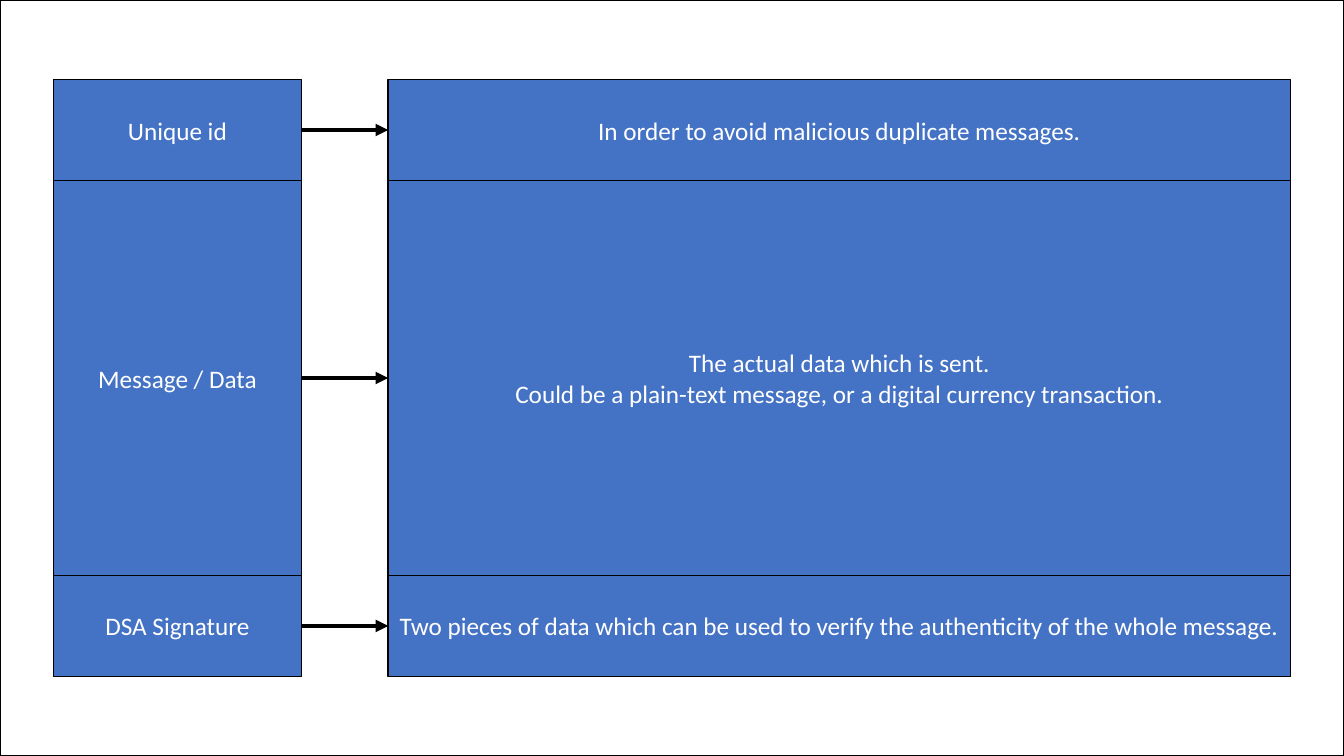
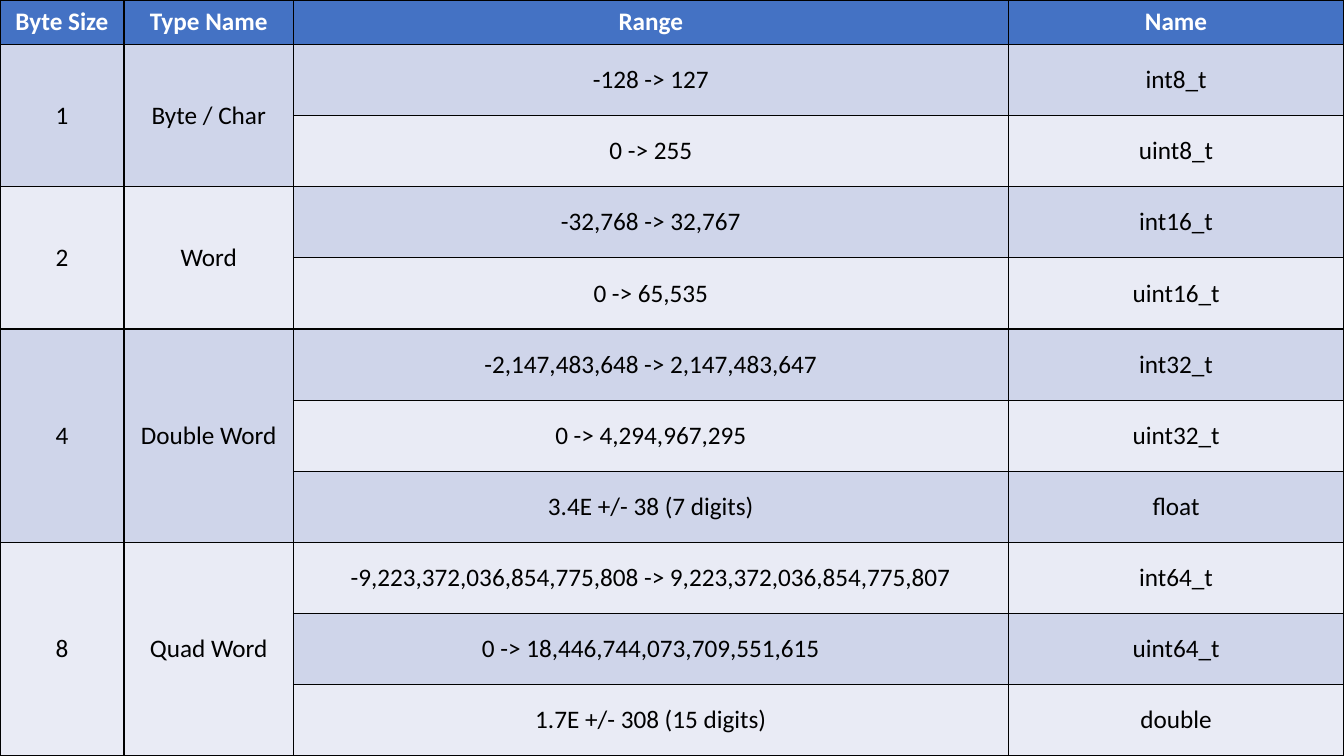
from lxml.etree import SubElement
from pptx import Presentation
from pptx.dml.color import RGBColor
from pptx.enum.shapes import MSO_CONNECTOR, MSO_SHAPE
from pptx.enum.text import MSO_ANCHOR, PP_ALIGN
from pptx.oxml.ns import qn
from pptx.util import Inches, Pt

BLUE = RGBColor(0x44, 0x72, 0xC4)
DARK_BAND = RGBColor(0xCF, 0xD5, 0xEA)
LIGHT_BAND = RGBColor(0xE9, 0xEB, 0xF5)
BLACK = RGBColor(0, 0, 0)
WHITE = RGBColor(255, 255, 255)
BANDS = (DARK_BAND, LIGHT_BAND)
SLIDE_WIDTH, SLIDE_HEIGHT = 13.33, 7.5

# Field, explanation, height
MESSAGE_PARTS = [
    ("Unique id", "In order to avoid malicious duplicate messages.", 1),
    ("Message / Data",
     "The actual data which is sent.\n"
     "Could be a plain-text message, or a digital currency transaction.", 3.92),
    ("DSA Signature",
     "Two pieces of data which can be used to verify the authenticity of the whole message.", 1),
]
PARTS_TOP = 0.79
FIELD_LEFT, FIELD_WIDTH = 0.53, 2.46
EXPLANATION_LEFT, EXPLANATION_WIDTH = 3.85, 8.95

HEADINGS = ("Byte Size", "Type Name", "Range", "Name")
# Byte size, type name, (range, name) pairs
TYPE_GROUPS = [
    ("1", "Byte / Char", [("-128 -> 127", "int8_t"), ("0 -> 255", "uint8_t")]),
    ("2", "Word", [("-32,768 -> 32,767", "int16_t"), ("0 -> 65,535", "uint16_t")]),
    ("4", "Double Word", [
        ("-2,147,483,648 -> 2,147,483,647", "int32_t"),
        ("0 -> 4,294,967,295", "uint32_t"),
        ("3.4E +/- 38 (7 digits)", "float"),
    ]),
    ("8", "Quad Word", [
        ("-9,223,372,036,854,775,808 -> 9,223,372,036,854,775,807", "int64_t"),
        ("0 -> 18,446,744,073,709,551,615", "uint64_t"),
        ("1.7E +/- 308 (15 digits)", "double"),
    ]),
]
COLUMN_WIDTHS = (1.23, 1.68, 7.09, 3.33)
HEADING_HEIGHT = 0.44


def write_text(text_frame, text, color, bold=False):
    text_frame.text = text
    font_format = {"name": "Calibri", "size": Pt(18), "bold": bold}
    for paragraph in text_frame.paragraphs:
        paragraph.alignment = PP_ALIGN.CENTER
        for run in paragraph.runs:
            for attribute, value in font_format.items():
                setattr(run.font, attribute, value)
            run.font.color.rgb = color


def set_line(line, width):
    line.color.rgb = BLACK
    line.width = Pt(width)


def add_box(shapes, left, top, width, height, fill=None, text=""):
    box = shapes.add_shape(MSO_SHAPE.RECTANGLE, *map(Inches, (left, top, width, height)))
    box.shadow.inherit = False
    set_line(box.line, 1)
    if fill is None:
        box.fill.background()
    else:
        box.fill.solid()
        box.fill.fore_color.rgb = fill
    if text:
        box.text_frame.word_wrap = True
        box.text_frame.vertical_anchor = MSO_ANCHOR.MIDDLE
        write_text(box.text_frame, text, WHITE)
    return box


def add_arrow(shapes, source, target):
    """Join the right side of source to the left side of target."""
    arrow = shapes.add_connector(MSO_CONNECTOR.STRAIGHT, 0, 0, 0, 0)
    arrow.begin_connect(source, 3)
    arrow.end_connect(target, 1)
    set_line(arrow.line, 3)
    SubElement(arrow.line._get_or_add_ln(), qn("a:tailEnd"), type="triangle")
    SubElement(arrow._element.spPr, qn("a:effectLst"))


def fill_cell(cell, text, fill, color=BLACK, bold=False):
    """Border the cell first, because its fill must follow in the XML."""
    properties = cell._tc.get_or_add_tcPr()
    for side in ("lnL", "lnR", "lnT", "lnB"):
        border = SubElement(properties, qn(f"a:{side}"), w=str(Pt(1)))
        solid = SubElement(border, qn("a:solidFill"))
        SubElement(solid, qn("a:srgbClr"), val=str(BLACK))
    cell.fill.solid()
    cell.fill.fore_color.rgb = fill
    cell.vertical_anchor = MSO_ANCHOR.MIDDLE
    write_text(cell.text_frame, text, color, bold)


def build_message_slide(slide):
    add_box(slide.shapes, 0, 0, SLIDE_WIDTH, SLIDE_HEIGHT)
    shapes = slide.shapes.add_group_shape().shapes
    top = PARTS_TOP
    for field, explanation, height in MESSAGE_PARTS:
        field_box = add_box(shapes, FIELD_LEFT, top, FIELD_WIDTH, height, BLUE, field)
        explanation_box = add_box(
            shapes, EXPLANATION_LEFT, top, EXPLANATION_WIDTH, height, BLUE, explanation)
        add_arrow(shapes, field_box, explanation_box)
        top += height


def build_types_slide(slide):
    row_count = sum(len(types) for _, _, types in TYPE_GROUPS)
    table = slide.shapes.add_table(
        row_count + 1, len(HEADINGS), 0, 0, Inches(SLIDE_WIDTH), Inches(SLIDE_HEIGHT)).table
    for column, width in zip(table.columns, COLUMN_WIDTHS):
        column.width = Inches(width)
    for row in table.rows:
        row.height = Inches((SLIDE_HEIGHT - HEADING_HEIGHT) / row_count)
    table.rows[0].height = Inches(HEADING_HEIGHT)

    for column, heading in enumerate(HEADINGS):
        fill_cell(table.cell(0, column), heading, BLUE, WHITE, bold=True)

    row = 1
    for group, (byte_size, type_name, types) in enumerate(TYPE_GROUPS):
        first_row = row
        for type_range, name in types:
            labels = (byte_size, type_name) if row == first_row else ("", "")
            group_fill, row_fill = BANDS[group % 2], BANDS[(row - 1) % 2]
            fills = (group_fill, group_fill, row_fill, row_fill)
            for column, text in enumerate((*labels, type_range, name)):
                fill_cell(table.cell(row, column), text, fills[column])
            row += 1
        for column in range(2):
            table.cell(first_row, column).merge(table.cell(row - 1, column))


def main():
    presentation = Presentation()
    presentation.slide_width = Inches(SLIDE_WIDTH)
    presentation.slide_height = Inches(SLIDE_HEIGHT)
    for build in (build_message_slide, build_types_slide):
        build(presentation.slides.add_slide(presentation.slide_layouts[6]))
    presentation.save("out.pptx")


if __name__ == "__main__":
    main()
